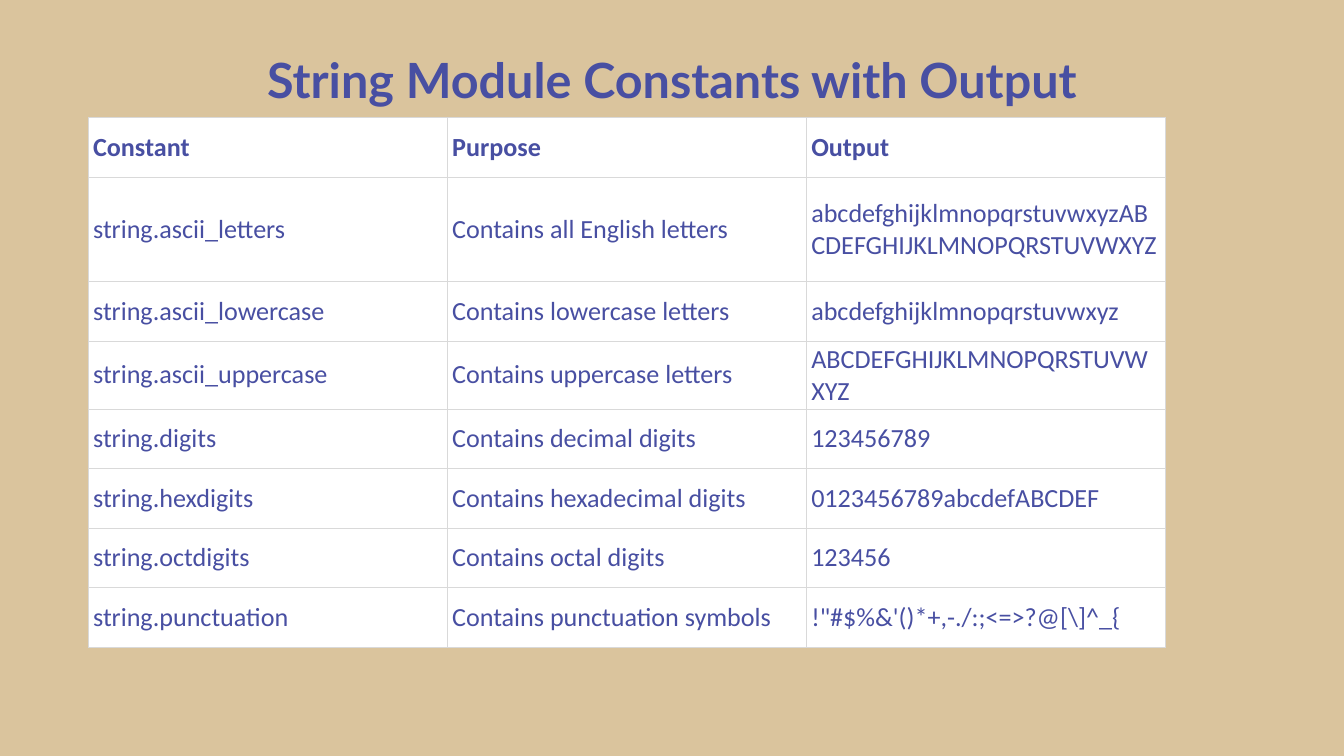
import dataclasses

import pptx
import pptx.dml.color
import pptx.enum.text
import pptx.oxml
import pptx.oxml.ns
import pptx.util


@dataclasses.dataclass(frozen=True)
class Theme:
    back: str = "DAC49D"
    ink: str = "484FA2"
    cell: str = "FFFFFF"
    rule: str = "D9D9D9"
    head: str = "Lato"
    body: str = "Calibri"
    big: float = 52
    lead: float = 72.8
    small: float = 28
    thin: float = 0.5


THEME = Theme()
SCALE = pptx.util.Inches(20) // 1920
ROWS = [
    ("Constant", "Purpose", "Output"),
    ("string.ascii_letters", "Contains all English letters",
     "abcdefghijklmnopqrstuvwxyzABCDEFGHIJKLMNOPQRSTUVWXYZ"),
    ("string.ascii_lowercase", "Contains lowercase letters", "abcdefghijklmnopqrstuvwxyz"),
    ("string.ascii_uppercase", "Contains uppercase letters", "ABCDEFGHIJKLMNOPQRSTUVWXYZ"),
    ("string.digits", "Contains decimal digits", "123456789"),
    ("string.hexdigits", "Contains hexadecimal digits", "0123456789abcdefABCDEF"),
    ("string.octdigits", "Contains octal digits", "123456"),
    ("string.punctuation", "Contains punctuation symbols", "!\"#$%&'()*+,-./:;<=>?@[\\]^_{"),
]


def px(size):
    return pptx.util.Emu(size * SCALE)


def color(code):
    return pptx.dml.color.RGBColor.from_string(code)


def paint(fill, code):
    fill.solid()
    fill.fore_color.rgb = color(code)


def write(frame, text, face, size, bold):
    frame.text = text
    font = frame.paragraphs[0].runs[0].font
    font.name = face
    font.size = pptx.util.Pt(size)
    font.bold = bold
    font.color.rgb = color(THEME.ink)


def edge(cell):
    props = cell._tc.get_or_add_tcPr()
    space = pptx.oxml.ns.nsdecls("a")
    width = pptx.util.Pt(THEME.thin)
    for side in "LRTB":
        props.append(pptx.oxml.parse_xml(
            f'<a:ln{side} {space} w="{width}"><a:solidFill>'
            f'<a:srgbClr val="{THEME.rule}"/></a:solidFill></a:ln{side}>'
        ))


def add_title(slide, text, left, top, width, height):
    box = slide.shapes.add_textbox(px(left), px(top), px(width), px(height))
    frame = box.text_frame
    frame.word_wrap = True
    frame.auto_size = pptx.enum.text.MSO_AUTO_SIZE.SHAPE_TO_FIT_TEXT
    frame.margin_left = frame.margin_right = 0
    frame.margin_top = frame.margin_bottom = 0
    write(frame, text, THEME.head, THEME.big, True)
    line = frame.paragraphs[0]
    line.alignment = pptx.enum.text.PP_ALIGN.CENTER
    line.line_spacing = pptx.util.Pt(THEME.lead)


def fill_cell(cell, text, bold):
    cell.margin_left = cell.margin_right = px(7)
    cell.margin_top = cell.margin_bottom = px(4)
    cell.vertical_anchor = pptx.enum.text.MSO_ANCHOR.MIDDLE
    write(cell.text_frame, text, THEME.body, THEME.small, bold)
    edge(cell)
    paint(cell.fill, THEME.cell)


def add_grid(slide, rows, left, top, width, heights):
    count = len(rows[0])
    grid = slide.shapes.add_table(
        len(rows), count, px(left), px(top), px(width * count), px(sum(heights))
    ).table
    for column in grid.columns:
        column.width = px(width)
    for r, (row, height) in enumerate(zip(rows, heights)):
        grid.rows[r].height = px(height)
        for c, text in enumerate(row):
            fill_cell(grid.cell(r, c), text, r == 0)


def main():
    deck = pptx.Presentation()
    deck.slide_width, deck.slide_height = px(1920), px(1080)
    slide = deck.slides.add_slide(deck.slide_layouts[6])
    paint(slide.background.fill, THEME.back)
    add_title(slide, "String Module Constants with Output", 329, 57, 1262, 93)
    heights = [149 if r == 1 else 85 for r in range(len(ROWS))]
    add_grid(slide, ROWS, 126, 168, 513, heights)
    deck.save("out.pptx")


if __name__ == "__main__":
    main()
